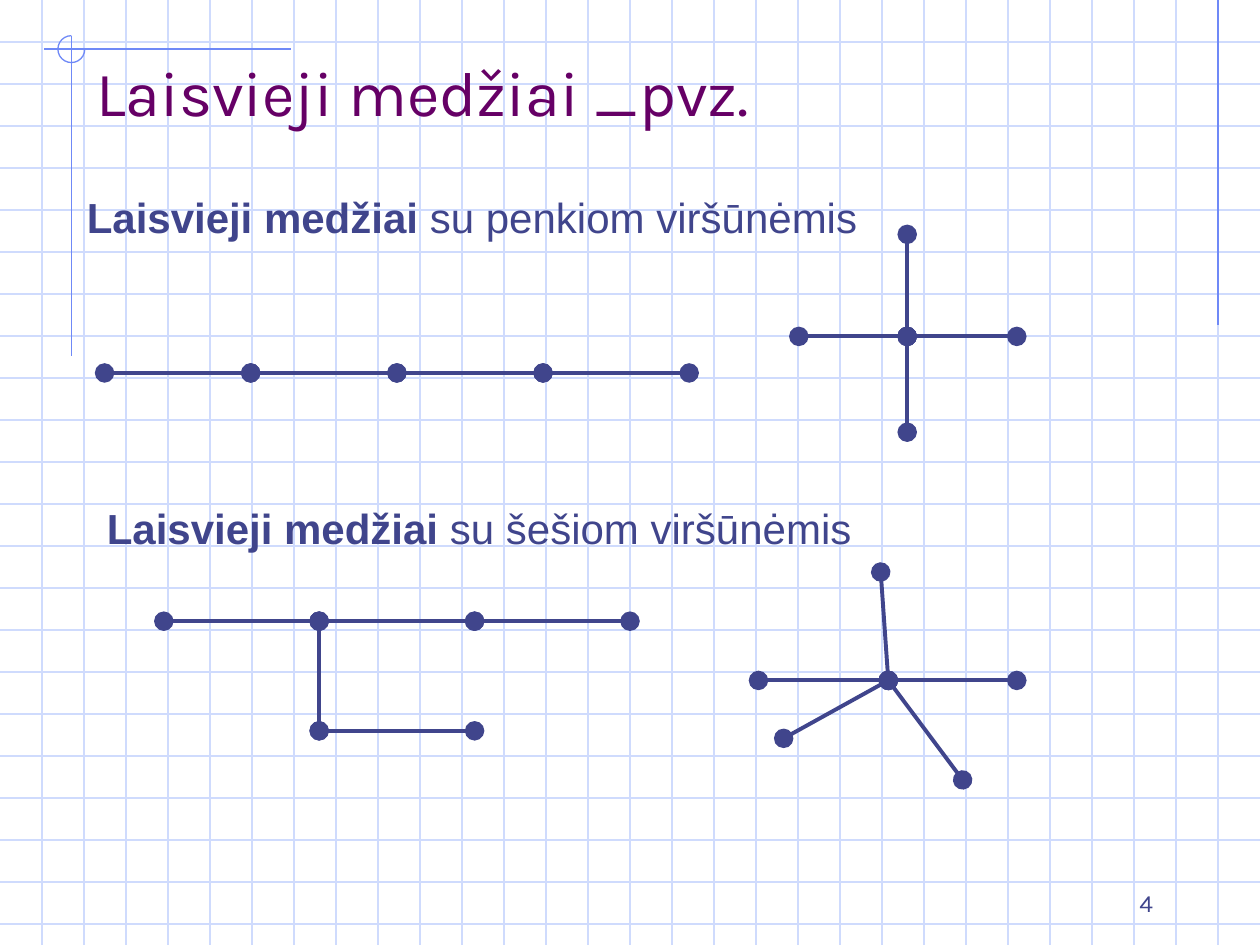
"""Build the slide on free trees with five and six vertices."""
from pptx import Presentation
from pptx import util as u
from pptx.dml.color import RGBColor
from pptx.enum import shapes, text
from pptx.oxml import parse_xml
from pptx.oxml.ns import nsdecls

PALE = RGBColor(0xCF, 0xDB, 0xFD)
BLUE = RGBColor(0x6F, 0x89, 0xF7)
NAVY = RGBColor(0x40, 0x45, 0x8C)
PLUM = RGBColor(0x66, 0x00, 0x66)

deck = Presentation()
deck.slide_width, deck.slide_height = u.Inches(10), u.Inches(7.5)
slide = deck.slides.add_slide(deck.slide_layouts[6])
cols, rows = 30, 22.5
cell = deck.slide_width / cols


def link(start, end, color, width=0.75, dots=False):
    ends = [round(n * cell) for n in (*start, *end)]
    line = slide.shapes.add_connector(shapes.MSO_CONNECTOR.STRAIGHT, *ends)
    line.line.color.rgb = color
    line.line.width = u.Pt(width)
    if dots:
        for tag in ("headEnd", "tailEnd"):
            line.line._get_or_add_ln().append(parse_xml(
                f'<a:{tag} {nsdecls("a")} type="oval" w="lg" len="lg"/>'))
    line._element.spPr.append(parse_xml(f'<a:effectLst {nsdecls("a")}/>'))


def label(place, parts, font, size, color, anchor, align=text.PP_ALIGN.LEFT):
    box = slide.shapes.add_textbox(*[round(n * cell) for n in place])
    frame = box.text_frame
    frame.word_wrap = True
    frame.vertical_anchor = anchor
    para = frame.paragraphs[0]
    para.alignment = align
    for words, bold in parts:
        run = para.add_run()
        run.text = words
        run.font.name = font
        run.font.size = u.Pt(size)
        run.font.bold = bold
        run.font.color.rgb = color


for row in range(1, int(rows) + 1):
    link((0, row), (cols, row), PALE)
for col in range(1, cols):
    link((col, 0), (col, rows), PALE)

link((29, 0), (29, 7.74), BLUE)
link((6.92, 1.17), (1.06, 1.17), BLUE)
link((1.7, 0.86), (1.7, 8.48), BLUE)
arc = slide.shapes.add_shape(
    shapes.MSO_SHAPE.ARC, *[round(n * cell) for n in (1.38, 0.85, 0.64, 0.64)])
arc.adjustments[0], arc.adjustments[1] = 0, 162
arc.shadow.inherit = False
arc.fill.background()
arc.line.color.rgb = BLUE
arc.line.width = u.Pt(0.75)

path = [(2.49 + 3.48 * i, 8.88) for i in range(5)]
top = [(3.9 + 3.7 * i, 14.79) for i in range(4)]
fork, low, tip = top[1], (7.6, 17.4), (11.3, 17.4)
mid, hub = (21.6, 8.01), (21.15, 16.2)
cross = [(19.02, 8.01), (24.21, 8.01), (21.6, 5.58), (21.6, 10.29)]
star = [(18.06, 16.2), (20.97, 13.62), (18.66, 17.58), (22.92, 18.57),
        (24.21, 16.2)]
edges = [*zip(path, path[1:]), *zip(top, top[1:]), (fork, low), (low, tip)]
edges += [(end, mid) for end in cross] + [(end, hub) for end in star]
for start, end in edges:
    link(start, end, NAVY, 2.25, True)

label((2, 1, 25.5, 2.22), [("Laisvieji medžiai _pvz.", False)],
      "Karla", 36, PLUM, text.MSO_ANCHOR.BOTTOM)
for place, rest in (((1.77, 4.41, 21.03, 1.5), " su penkiom viršūnėmis"),
                    ((2.25, 11.82, 19.29, 1.5), " su šešiom viršūnėmis")):
    label(place, [("Laisvieji medžiai", True), (rest, False)],
          "Arial", 24, NAVY, text.MSO_ANCHOR.MIDDLE)
label((21.5, 20.5, 6.25, 1.5), [("4", False)], "Karla", 14, NAVY,
      text.MSO_ANCHOR.BOTTOM, text.PP_ALIGN.RIGHT)

deck.save("out.pptx")
